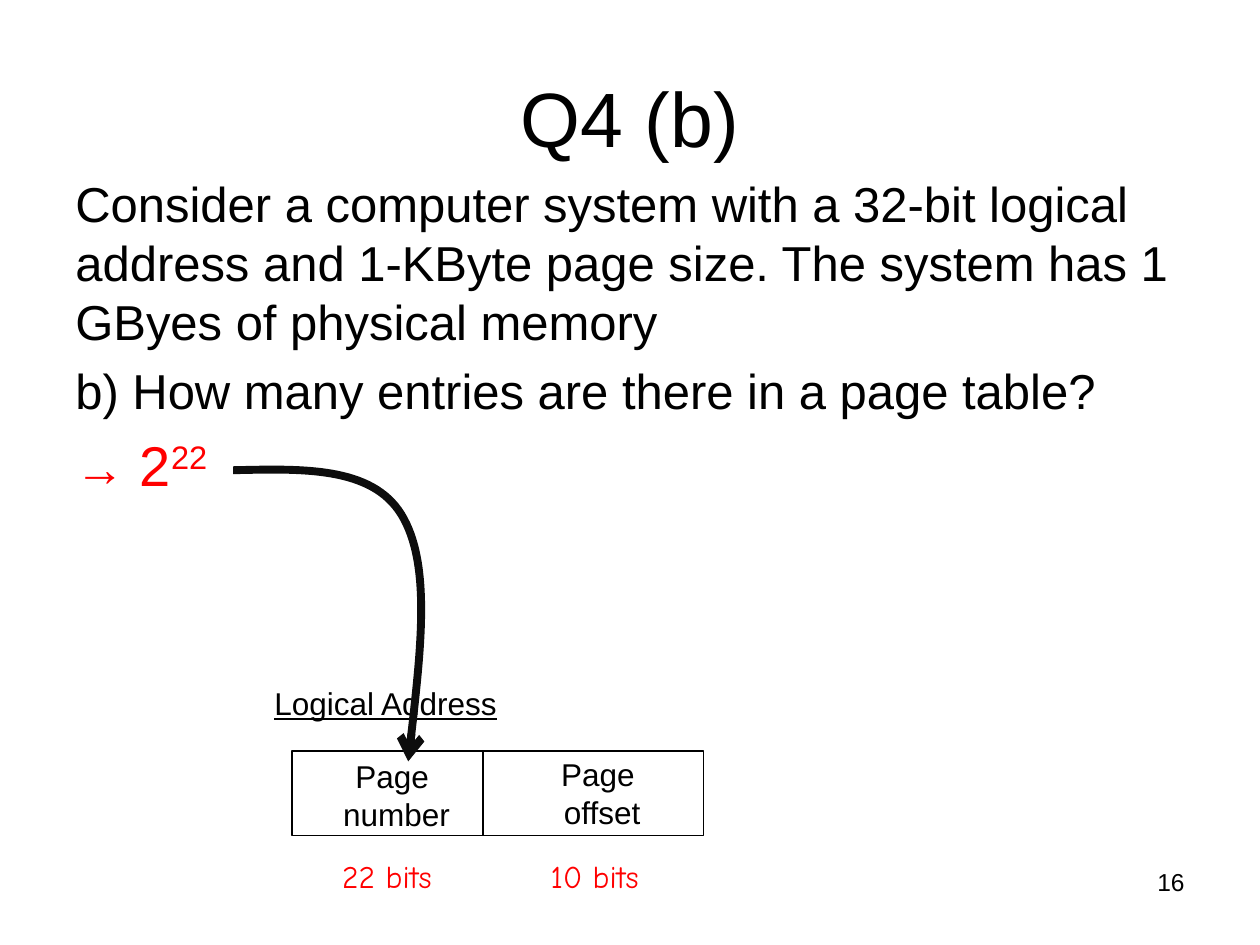
from dataclasses import dataclass

from lxml import etree
from pptx import Presentation
from pptx.dml.color import RGBColor
from pptx.enum.shapes import MSO_SHAPE
from pptx.enum.text import MSO_ANCHOR, MSO_AUTO_SIZE, PP_ALIGN
from pptx.oxml.ns import qn
from pptx.util import Cm, Pt


@dataclass(frozen=True)
class Theme:
    ink: RGBColor = RGBColor(0, 0, 0)
    arrow: RGBColor = RGBColor(0x0D, 0x0D, 0x0D)
    answer: RGBColor = RGBColor(0xFF, 0, 0)
    font: str = "Arial"
    hand_font: str = "Comic Neue"
    title: int = 44
    body: int = 28
    power: int = 32
    label: int = 18
    number: int = 14


T = Theme()


def add_run(p, text, size, color=T.ink, font=T.font, underline=None):
    r = p.add_run()
    r.text = text
    r.font.size = Pt(size)
    r.font.name = font
    r.font.color.rgb = color
    r.font.underline = underline
    return r


def add_paragraph(tf, first):
    return tf.paragraphs[0] if first else tf.add_paragraph()


def add_title(s, text):
    sp = s.shapes.title
    sp.left, sp.top, sp.width, sp.height = Cm(1.27), Cm(0.76), Cm(22.86), Cm(3.18)
    tf = sp.text_frame
    tf.vertical_anchor = MSO_ANCHOR.MIDDLE
    p = tf.paragraphs[0]
    p.alignment = PP_ALIGN.CENTER
    add_run(p, text, T.title)


def add_body(s, paragraphs):
    """Each paragraph is a list of (text, size, colour, baseline percent)."""
    sp = s.shapes.add_textbox(Cm(1.27), Cm(3.38), Cm(22.86), Cm(13.64))
    tf = sp.text_frame
    tf.word_wrap = True
    for i, runs in enumerate(paragraphs):
        p = add_paragraph(tf, i == 0)
        p.space_before = Pt(0.2 * max(size for _, size, _, _ in runs))
        for text, size, color, baseline in runs:
            r = add_run(p, text, size, color)
            if baseline:
                r.font._element.set("baseline", str(baseline * 1000))


def add_label(s, left, top, width, lines, align=PP_ALIGN.LEFT, **style):
    height = 1.02 + 0.78 * (len(lines) - 1)
    sp = s.shapes.add_textbox(Cm(left), Cm(top), Cm(width), Cm(height))
    tf = sp.text_frame
    tf.word_wrap = False
    tf.auto_size = MSO_AUTO_SIZE.SHAPE_TO_FIT_TEXT
    for i, line in enumerate(lines):
        p = add_paragraph(tf, i == 0)
        p.alignment = align
        add_run(p, line, T.label, **style)


def add_field(s, left, width):
    sp = s.shapes.add_shape(MSO_SHAPE.RECTANGLE, Cm(left), Cm(15.14), Cm(width), Cm(1.7))
    sp.shadow.inherit = False
    sp.fill.background()
    sp.line.color.rgb = T.ink
    sp.line.width = Pt(0.75)


def add_curved_arrow(s, start, *points):
    """Draw cubic curves; each three points are two handles and an end."""
    fb = s.shapes.build_freeform(Cm(start[0]), Cm(start[1]))
    fb.add_line_segments([(Cm(x), Cm(y)) for x, y in points], close=False)
    sp = fb.convert_to_shape()
    sp.shadow.inherit = False
    sp.fill.background()
    sp.line.color.rgb = T.arrow
    sp.line.width = Pt(4.5)
    etree.SubElement(sp.line._get_or_add_ln(), qn("a:tailEnd"), type="arrow")

    segments = list(sp._element.iter(qn("a:lnTo")))
    for i in range(0, len(segments), 3):
        curve = etree.Element(qn("a:cubicBezTo"))
        segments[i].addprevious(curve)
        for segment in segments[i:i + 3]:
            curve.append(segment[0])
            segment.getparent().remove(segment)


def add_slide_number(s, number):
    sp = s.shapes.add_textbox(Cm(18.21), Cm(17.35), Cm(5.92), Cm(1.32))
    tf = sp.text_frame
    tf.word_wrap = True
    p = tf.paragraphs[0]
    p.alignment = PP_ALIGN.RIGHT
    add_run(p, number, T.number)


def main():
    prs = Presentation()
    prs.slide_width, prs.slide_height = Cm(25.4), Cm(19.05)
    s = prs.slides.add_slide(prs.slide_layouts[5])

    add_title(s, "Q4 (b)")
    add_body(s, [
        [("Consider a computer system with a 32-bit logical address and 1-KByte "
          "page size. The system has 1 GByes of physical memory", T.body, T.ink, 0)],
        [("b) How many entries are there in a page table?", T.body, T.ink, 0)],
        [("→", T.body, T.answer, 0), (" 2", T.power, T.answer, 0),
         ("22", T.power, T.answer, 30)],
    ])
    add_slide_number(s, "16")

    add_field(s, 5.89, 3.85)
    add_field(s, 9.74, 4.44)
    add_label(s, 5.28, 13.67, 5.03, ["Logical Address"], underline=True)
    add_label(s, 6.65, 15.14, 2.69, ["Page ", "number"], PP_ALIGN.CENTER)
    add_label(s, 11.05, 15.09, 2.18, ["Page ", "offset"], PP_ALIGN.CENTER)

    add_curved_arrow(s, (4.7, 9.48),
                     (6.1, 9.45), (7.49, 9.4), (8.09, 10.37),
                     (8.69, 11.35), (8.46, 13.36), (8.23, 15.35))

    for left, width, text in ((6.65, 2.67, "22 bits"), (10.85, 2.57, "10 bits")):
        add_label(s, left, 17.15, width, [text], color=T.answer, font=T.hand_font)

    prs.save("out.pptx")


if __name__ == "__main__":
    main()
